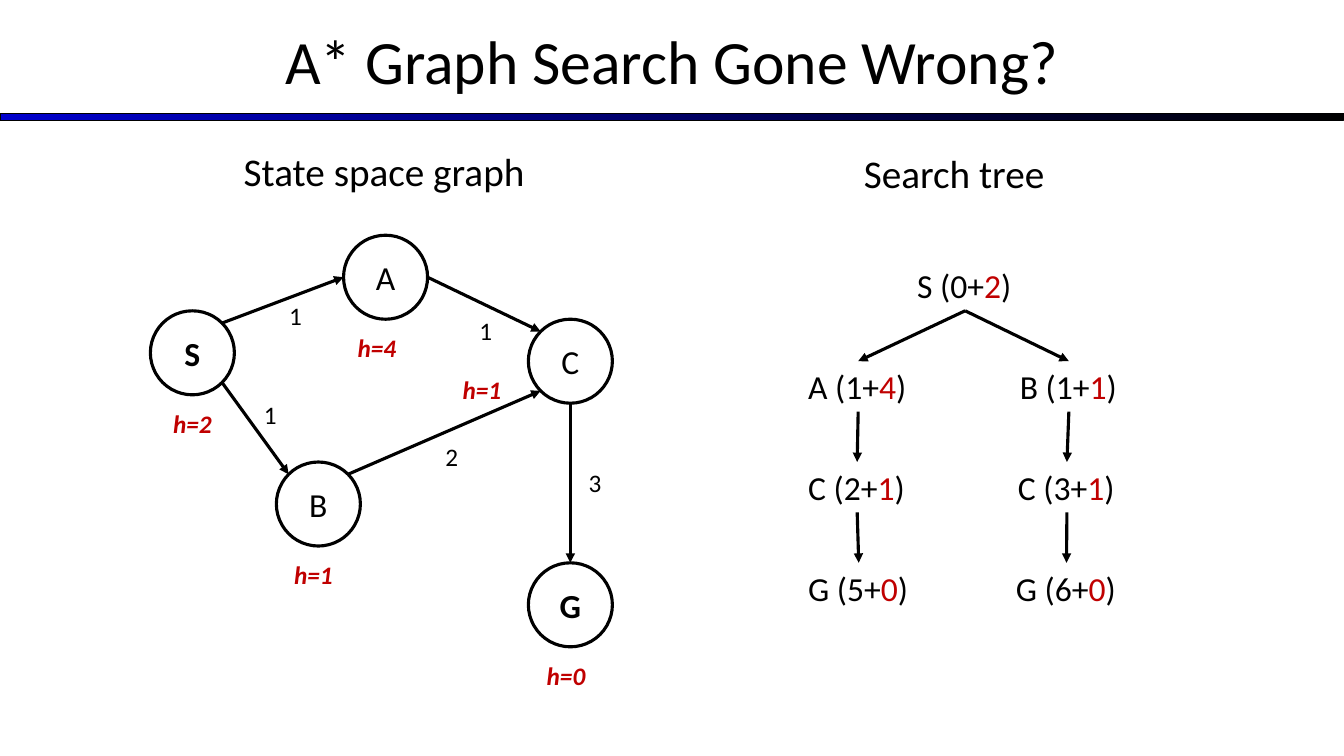
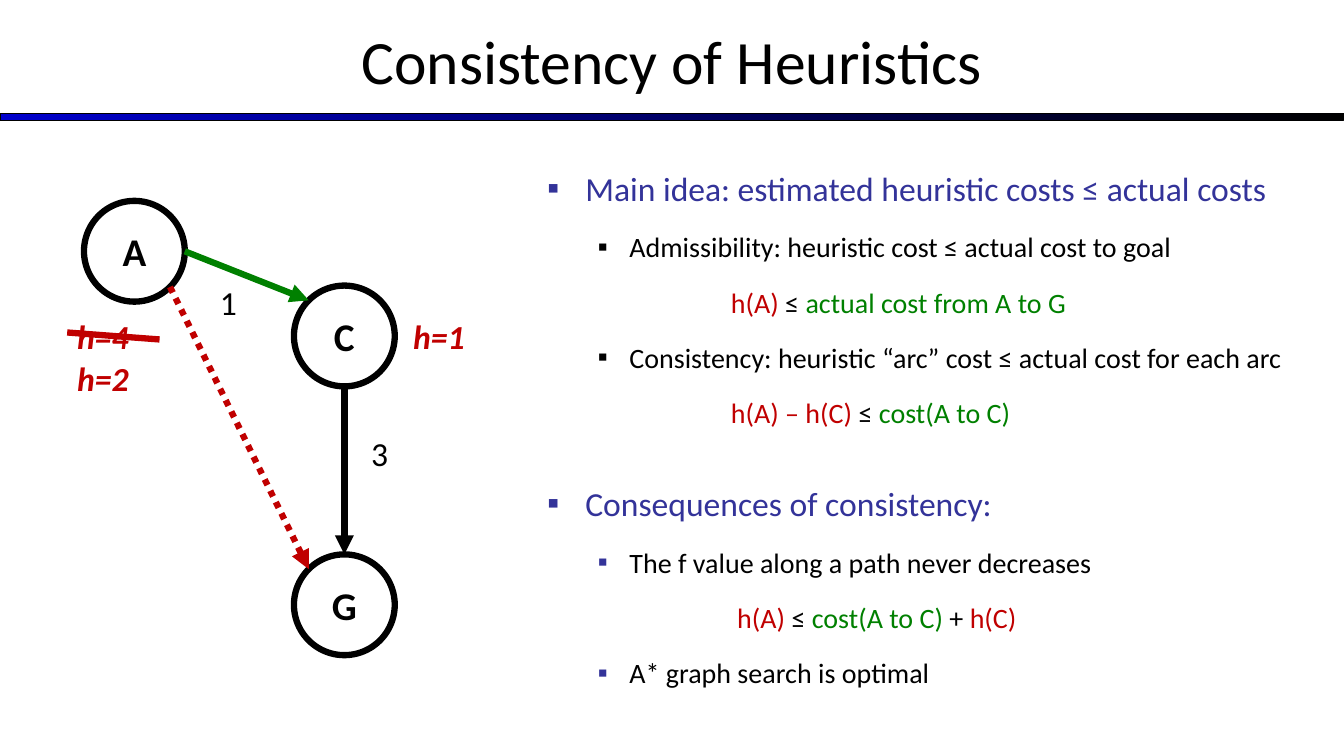
from dataclasses import dataclass
from math import cos, radians, sin

from lxml import etree
from pptx import Presentation
from pptx.dml.color import RGBColor
from pptx.enum.dml import MSO_LINE
from pptx.enum.shapes import MSO_CONNECTOR, MSO_SHAPE
from pptx.enum.text import MSO_ANCHOR, MSO_AUTO_SIZE, PP_ALIGN
from pptx.oxml.ns import qn
from pptx.shapes.autoshape import Shape
from pptx.shapes.connector import Connector
from pptx.slide import Slide
from pptx.util import Pt

STRAIGHT = MSO_CONNECTOR.STRAIGHT
ELLIPSE, RECT = MSO_SHAPE.OVAL, MSO_SHAPE.RECTANGLE
CENTER, MIDDLE = PP_ALIGN.CENTER, MSO_ANCHOR.MIDDLE
DOTTED = MSO_LINE.ROUND_DOT
BOTTOM_SIDE, TOP_SIDE = 2, 0

FONT = "Calibri"
COLORS = {"black": "000000", "white": "FFFFFF", "red": "C00000",
          "green": "008000", "indigo": "333399", "blue": "0000CC"}
WIDTH, HEIGHT = 960, 540


@dataclass
class Node:
    name: str
    x: float
    y: float
    bold: bool = True


@dataclass
class Edge:
    """Arrow between two nodes; angles are clockwise from the right."""
    start: str
    start_angle: float
    end: str
    end_angle: float
    color: str = "black"
    dotted: bool = False


@dataclass
class Label:
    text: str
    x: float
    y: float


@dataclass
class TreeNode:
    key: str
    parent: str
    x: float
    row: int
    width: float
    cost: str
    h: str


@dataclass
class Line:
    """One body paragraph: runs are (text, colour) pairs."""
    runs: list[tuple[str, str]]
    size: float = 20
    margin: float = 58.5
    hang: float = 22.5
    bullet: str = ""
    before: float = 3.5


def rgb(name: str) -> RGBColor:
    return RGBColor.from_string(COLORS[name])


def add_run(p, text: str, *, size: float, color: str = "black",
            bold: bool = False, italic: bool = False) -> None:
    r = p.add_run()
    r.text = text
    f = r.font
    f.name, f.size, f.bold, f.italic = FONT, Pt(size), bold, italic
    f.color.rgb = rgb(color)


def add_label(s: Slide, x: float, y: float, w: float, h: float,
              runs: list[tuple[str, str]], **fmt) -> Shape:
    box = s.shapes.add_textbox(Pt(x), Pt(y), Pt(w), Pt(h))
    tf = box.text_frame
    tf.word_wrap = False
    tf.auto_size = MSO_AUTO_SIZE.SHAPE_TO_FIT_TEXT
    for text, color in runs:
        add_run(tf.paragraphs[0], text, color=color, **fmt)
    return box


def add_line(s: Slide, start: tuple[float, float], end: tuple[float, float], *,
             color: str = "black", weight: float = 2.25,
             dotted: bool = False, arrow: bool = True) -> Connector:
    c = s.shapes.add_connector(STRAIGHT, *(Pt(v) for v in (*start, *end)))
    c.line.color.rgb = rgb(color)
    c.line.width = Pt(weight)
    if dotted:
        c.line.dash_style = DOTTED
    sp_pr = c.element.spPr
    if arrow:
        etree.SubElement(sp_pr.find(qn("a:ln")), qn("a:tailEnd"), type="triangle")
    etree.SubElement(sp_pr, qn("a:effectLst"))
    return c


def draw_graph(s: Slide, nodes: list[Node], edges: list[Edge], *,
               diameter: float, size: float, weight: float) -> None:
    for n in nodes:
        sp = s.shapes.add_shape(ELLIPSE, Pt(n.x), Pt(n.y), Pt(diameter), Pt(diameter))
        sp.shadow.inherit = False
        sp.fill.solid()
        sp.fill.fore_color.rgb = rgb("white")
        sp.line.color.rgb = rgb("black")
        sp.line.width = Pt(weight)
        tf = sp.text_frame
        tf.vertical_anchor = MIDDLE
        tf.word_wrap = False
        p = tf.paragraphs[0]
        p.alignment = CENTER
        add_run(p, n.name, size=size, bold=n.bold)

    by_name = {n.name: n for n in nodes}
    radius = diameter / 2

    def rim(name: str, angle: float) -> tuple[float, float]:
        n, a = by_name[name], radians(angle)
        return n.x + radius * (1 + cos(a)), n.y + radius * (1 + sin(a))

    for e in edges:
        add_line(s, rim(e.start, e.start_angle), rim(e.end, e.end_angle),
                 color=e.color, weight=weight, dotted=e.dotted)


def draw_labels(s: Slide, costs: list[Label], heuristics: list[Label],
                size: float) -> None:
    height = size * 1.2 + 7.2
    for c in costs:
        add_label(s, c.x, c.y, size / 2 + 14.5, height, [(c.text, "black")], size=size)
    for h in heuristics:
        add_label(s, h.x, h.y, size * 1.8 + 14.4, height, [(h.text, "red")],
                  size=size, bold=True, italic=True)


def draw_tree(s: Slide, nodes: list[TreeNode], top: float, step: float) -> None:
    boxes: dict[str, Shape] = {}
    for n in nodes:
        runs = [(f"{n.key[0]} ({n.cost}+", "black"), (n.h, "red"), (")", "black")]
        boxes[n.key] = add_label(s, n.x, top + n.row * step, n.width, 36, runs, size=24)
        if n.parent:
            c = add_line(s, (0, 0), (0, 0))
            c.begin_connect(boxes[n.parent], BOTTOM_SIDE)
            c.end_connect(boxes[n.key], TOP_SIDE)


def draw_body(s: Slide, lines: list[Line], x: float, y: float,
              w: float, h: float) -> None:
    tf = s.shapes.add_textbox(Pt(x), Pt(y), Pt(w), Pt(h)).text_frame
    tf.word_wrap = True
    for i, line in enumerate(lines):
        p = tf.add_paragraph() if i else tf.paragraphs[0]
        p.line_spacing = 1.5
        p.space_before = Pt(line.before)
        for text, color in line.runs:
            add_run(p, text, size=line.size, color=color)
        p_pr = p._p.get_or_add_pPr()
        p_pr.set("marL", str(Pt(line.margin)))
        p_pr.set("indent", str(-Pt(line.hang)))
        if line.bullet:
            clr = etree.SubElement(p_pr, qn("a:buClr"))
            etree.SubElement(clr, qn("a:srgbClr"), val=COLORS[line.bullet])
            etree.SubElement(p_pr, qn("a:buFont"), typeface=FONT)
            etree.SubElement(p_pr, qn("a:buChar"), char="▪")


def add_band(s: Slide) -> None:
    """Draw the gradient rule and move it to the layout all slides use."""
    band = s.shapes.add_shape(RECT, Pt(0), Pt(81), Pt(WIDTH), Pt(5))
    band.shadow.inherit = False
    band.fill.gradient()
    band.fill.gradient_angle = 0
    for stop, color, pos in zip(band.fill.gradient_stops, ("blue", "black"), (0, 1)):
        stop.color.rgb = rgb(color)
        stop.position = pos
    band.line.color.rgb = rgb("black")
    band.line.width = Pt(0.75)
    s.slide_layout.shapes.element.append(band.element)


def new_slide(prs, title: str) -> Slide:
    s = prs.slides.add_slide(prs.slide_layouts[5])
    sp = s.shapes.title
    sp.left, sp.top, sp.width, sp.height = Pt(0), Pt(-2), Pt(WIDTH), Pt(90)
    tf = sp.text_frame
    tf.auto_size = MSO_AUTO_SIZE.NONE
    tf.vertical_anchor = MIDDLE
    p = tf.paragraphs[0]
    p.alignment = CENTER
    add_run(p, title, size=44)
    return s


def search_slide(prs) -> Slide:
    s = new_slide(prs, "A* Graph Search Gone Wrong?")
    # State space graph
    add_label(s, 167, 102, 217.5, 41, [("State space graph", "black")], size=28)
    nodes = [Node("S", 107.4, 222), Node("A", 245.4, 168, False),
             Node("B", 197.4, 330, False), Node("C", 377.4, 228, False),
             Node("G", 377.4, 402)]
    edges = [Edge("S", -45, "A", 180), Edge("S", 45, "B", 225),
             Edge("B", -45, "C", 135), Edge("A", 0, "C", 225),
             Edge("C", 90, "G", -90)]
    draw_graph(s, nodes, edges, diameter=60, size=24, weight=2.25)
    costs = [Label("1", 199.4, 211), Label("1", 181.4, 282), Label("1", 335.4, 222),
             Label("2", 311, 312), Label("3", 413.4, 330)]
    heuristics = [Label("h=2", 116.6, 288), Label("h=1", 203, 396),
                  Label("h=4", 248.4, 234), Label("h=1", 323.4, 263.5),
                  Label("h=0", 383.4, 468)]
    draw_labels(s, costs, heuristics, 18)
    # Search tree
    add_label(s, 610, 103, 144.5, 41, [("Search tree", "black")], size=28)
    tree = [TreeNode("S", "", 648, 0, 82.8, "0", "2"),
            TreeNode("A", "S", 570.2, 1, 85.6, "1", "4"),
            TreeNode("B", "S", 721.4, 1, 84.2, "1", "1"),
            TreeNode("C left", "A", 570.2, 2, 84.2, "2", "1"),
            TreeNode("C right", "B", 720, 2, 84.2, "3", "1"),
            TreeNode("G left", "C left", 570.2, 3, 86.4, "5", "0"),
            TreeNode("G right", "C right", 718.6, 3, 86.4, "6", "0")]
    draw_tree(s, tree, top=186, step=72)
    return s


def consistency_slide(prs) -> Slide:
    s = new_slide(prs, "Consistency of Heuristics")
    # Explanation
    main = {"size": 24, "margin": 27, "hang": 27, "bullet": "indigo"}
    formula = {"margin": 131, "hang": 0}
    leq = ("≤ ", "black")
    lines = [
        Line([("Main idea: estimated heuristic costs ≤ actual costs", "indigo")],
             before=4, **main),
        Line([("Admissibility: heuristic cost ≤ actual cost to goal", "black")],
             bullet="black"),
        Line([("h(A) ", "red"), leq, ("actual cost from A to G", "green")], **formula),
        Line([("Consistency: heuristic “arc” cost ≤ actual cost for each arc", "black")],
             bullet="black"),
        Line([("h(A) – h(C) ", "red"), leq, ("cost(A to C)", "green")], **formula),
        Line([("Consequences of consistency:", "indigo")], before=24, **main),
        Line([("The f value along a path never decreases", "black")], bullet="indigo"),
        Line([("h(A) ", "red"), leq, ("cost(A to C) ", "green"), ("+ ", "black"),
              ("h(C)", "red")], margin=135.5, hang=0),
        Line([("A* graph search is optimal", "black")], bullet="indigo"),
    ]
    draw_body(s, lines, 384, 102, 546, 406)
    # Three-node graph
    nodes = [Node("A", 60, 143.5), Node("C", 210, 204), Node("G", 210, 396)]
    edges = [Edge("C", 90, "G", -90), Edge("A", 45, "G", 225, "red", True),
             Edge("A", 0, "C", 225, "green")]
    draw_graph(s, nodes, edges, diameter=72, size=28, weight=4.5)
    costs = [Label("3", 258, 306), Label("1", 150, 197.5)]
    heuristics = [Label("h=4", 48, 222), Label("h=1", 288, 222), Label("h=2", 48, 252)]
    draw_labels(s, costs, heuristics, 24)
    # Strike out the old estimate
    add_line(s, (48, 237.5), (114, 242.5), color="red", weight=4.5, arrow=False)
    return s


def main() -> None:
    prs = Presentation()
    prs.slide_width, prs.slide_height = Pt(WIDTH), Pt(HEIGHT)
    add_band(search_slide(prs))
    consistency_slide(prs)
    prs.save("out.pptx")


if __name__ == "__main__":
    main()
